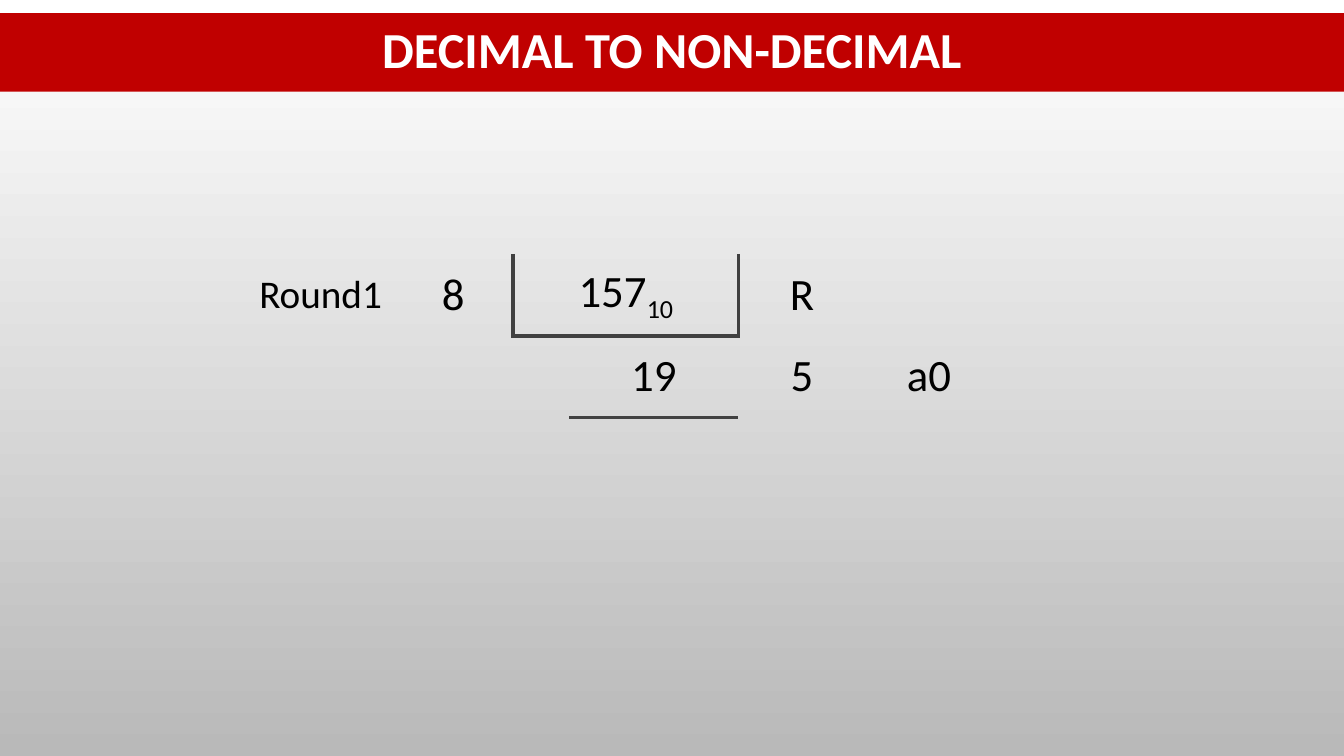
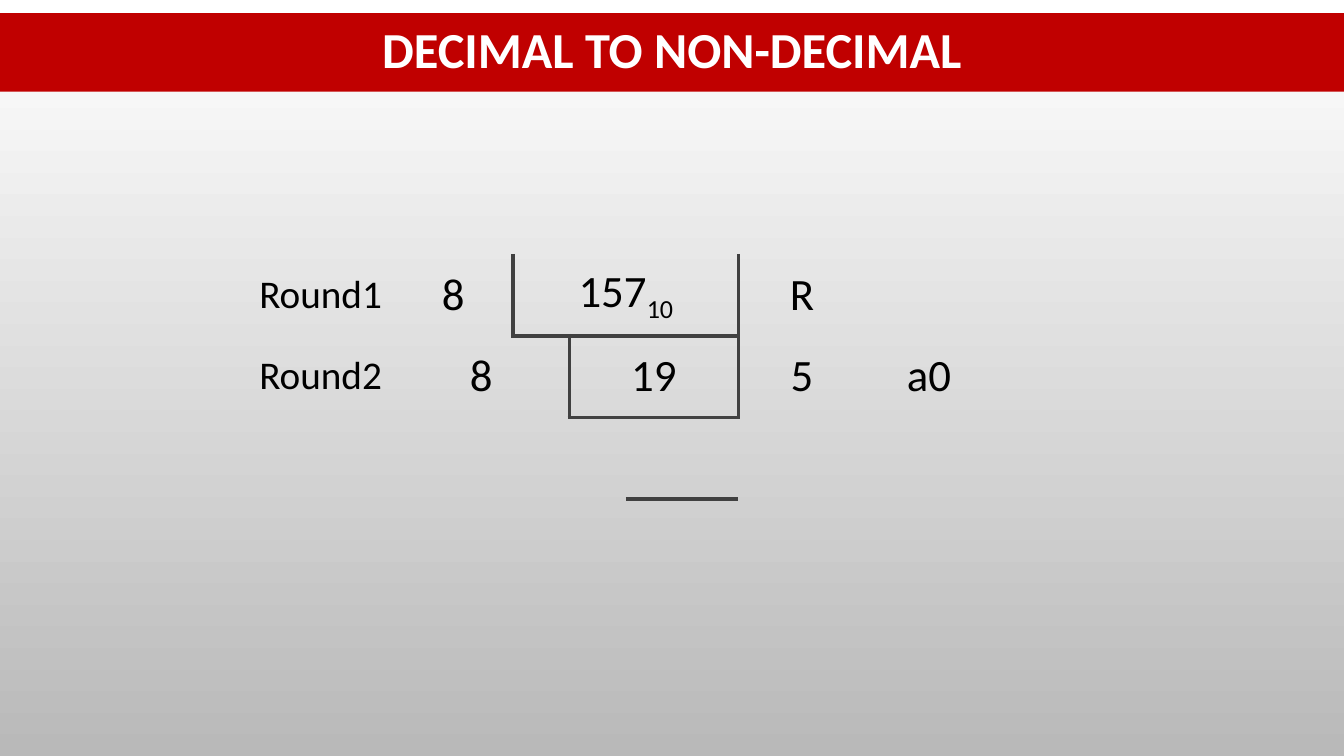
import pptx
import pptx.util
import pptx.dml.color
import pptx.enum.text
import pptx.oxml.ns
from lxml import etree
from pptx.util import Cm

# Shared look
FONT = "Calibri"
RED, WHITE, BLACK, GREY, LINE = "C00000", "FFFFFF", "000000", "B9B9B9", "404040"
SLIDE_W, SLIDE_H = 33.87, 19.05
COL_WIDTHS = [3.66, 3.02, 1.42, 1.42, 2.84, 3.2, 3.2]
ROW_COUNT, ROW_HEIGHT = 4, 2.06
NO_GRID_STYLE = "{2D5ABB26-0587-4C30-8999-92F81FD0307C}"
TITLE = "DECIMAL TO NON-DECIMAL"

# Cells of the division: (row, column, columns spanned, text, size, subscript, borders)
HEAD_ROW = [
    (0, 0, 1, "Round1", 28, "", ""),
    (0, 1, 1, "8", 32, "", "R"),
    (0, 2, 3, "157", 32, "10", "LB"),
    (0, 5, 1, "R", 32, "", ""),
]
REMAINDER = [
    (1, 5, 1, "5", 32, "", ""),
    (1, 6, 1, "a0", 32, "", ""),
]
LOWER_ROWS = [
    (2, 1, 3, "", 32, "", ""),
    (3, 2, 3, "", 32, "", ""),
]
ROUND_1 = HEAD_ROW + REMAINDER + LOWER_ROWS + [
    (1, 1, 2, "", 32, "", ""),
    (1, 3, 2, "19", 32, "", "T"),
]
ROUND_2 = HEAD_ROW + REMAINDER + LOWER_ROWS + [
    (1, 0, 1, "Round2", 28, "", ""),
    (1, 1, 2, "8", 32, "", "R"),
    (1, 3, 2, "19", 32, "", "LTB"),
    (2, 4, 1, "", 32, "", "T"),
]


def rgb(value):
    return pptx.dml.color.RGBColor.from_string(value)


def add_run(p, text, size, color, bold=False, subscript=False):
    r = p.add_run()
    r.text = text
    r.font.name = FONT
    r.font.size = pptx.util.Pt(size)
    r.font.bold = bold
    r.font.color.rgb = rgb(color)
    if subscript:
        r.font._element.set("baseline", "-25000")


def set_background(master):
    fill = master.background.fill
    fill.gradient()
    fill.gradient_angle = 270
    for stop, color in zip(fill.gradient_stops, (WHITE, GREY)):
        stop.color.rgb = rgb(color)


def add_title(s, text):
    sp = s.shapes.title
    sp.left, sp.top, sp.width, sp.height = Cm(0), Cm(0.33), Cm(SLIDE_W), Cm(1.98)
    sp.fill.solid()
    sp.fill.fore_color.rgb = rgb(RED)
    tf = sp.text_frame
    tf.auto_size = pptx.enum.text.MSO_AUTO_SIZE.NONE
    tf.vertical_anchor = pptx.enum.text.MSO_ANCHOR.MIDDLE
    p = tf.paragraphs[0]
    p.alignment = pptx.enum.text.PP_ALIGN.CENTER
    p.line_spacing = 0.9
    add_run(p, text, 36, WHITE, bold=True)


def add_borders(cell, sides):
    qn = pptx.oxml.ns.qn
    tc_pr = cell._tc.get_or_add_tcPr()
    for side in "LRTB":  # order required by the schema
        if side in sides:
            ln = etree.SubElement(tc_pr, qn("a:ln" + side), w=str(pptx.util.Pt(3)))
            fill = etree.SubElement(ln, qn("a:solidFill"))
            etree.SubElement(fill, qn("a:srgbClr"), val=LINE)


def fill_cell(table, row, col, span, text, size, subscript, borders):
    cell = table.cell(row, col)
    last = col + span - 1
    if span > 1:
        cell.merge(table.cell(row, last))
    # Upper and lower borders run along the whole span
    for c in range(col, last + 1):
        sides = [b for b in borders
                 if b in "TB" or (b == "L" and c == col) or (b == "R" and c == last)]
        add_borders(table.cell(row, c), sides)
    if text:
        cell.vertical_anchor = pptx.enum.text.MSO_ANCHOR.MIDDLE
        p = cell.text_frame.paragraphs[0]
        p.alignment = pptx.enum.text.PP_ALIGN.CENTER
        add_run(p, text, size, BLACK)
        if subscript:
            add_run(p, subscript, size, BLACK, subscript=True)


def add_division(s, cells):
    frame = s.shapes.add_table(ROW_COUNT, len(COL_WIDTHS), Cm(6.25), Cm(6.4),
                               Cm(sum(COL_WIDTHS)), Cm(ROW_COUNT * ROW_HEIGHT))
    table = frame.table
    table.first_row = table.horz_banding = False
    for style in frame._element.iter(pptx.oxml.ns.qn("a:tableStyleId")):
        style.text = NO_GRID_STYLE
    for column, width in zip(table.columns, COL_WIDTHS):
        column.width = Cm(width)
    for row in table.rows:
        row.height = Cm(ROW_HEIGHT)
    for entry in cells:
        fill_cell(table, *entry)
    for cell in table.iter_cells():
        cell.fill.background()


def main():
    prs = pptx.Presentation()
    prs.slide_width, prs.slide_height = Cm(SLIDE_W), Cm(SLIDE_H)
    set_background(prs.slide_master)
    # One slide per round
    for cells in (ROUND_1, ROUND_2):
        s = prs.slides.add_slide(prs.slide_layouts[5])
        add_title(s, TITLE)
        add_division(s, cells)
    prs.save("out.pptx")


if __name__ == "__main__":
    main()
